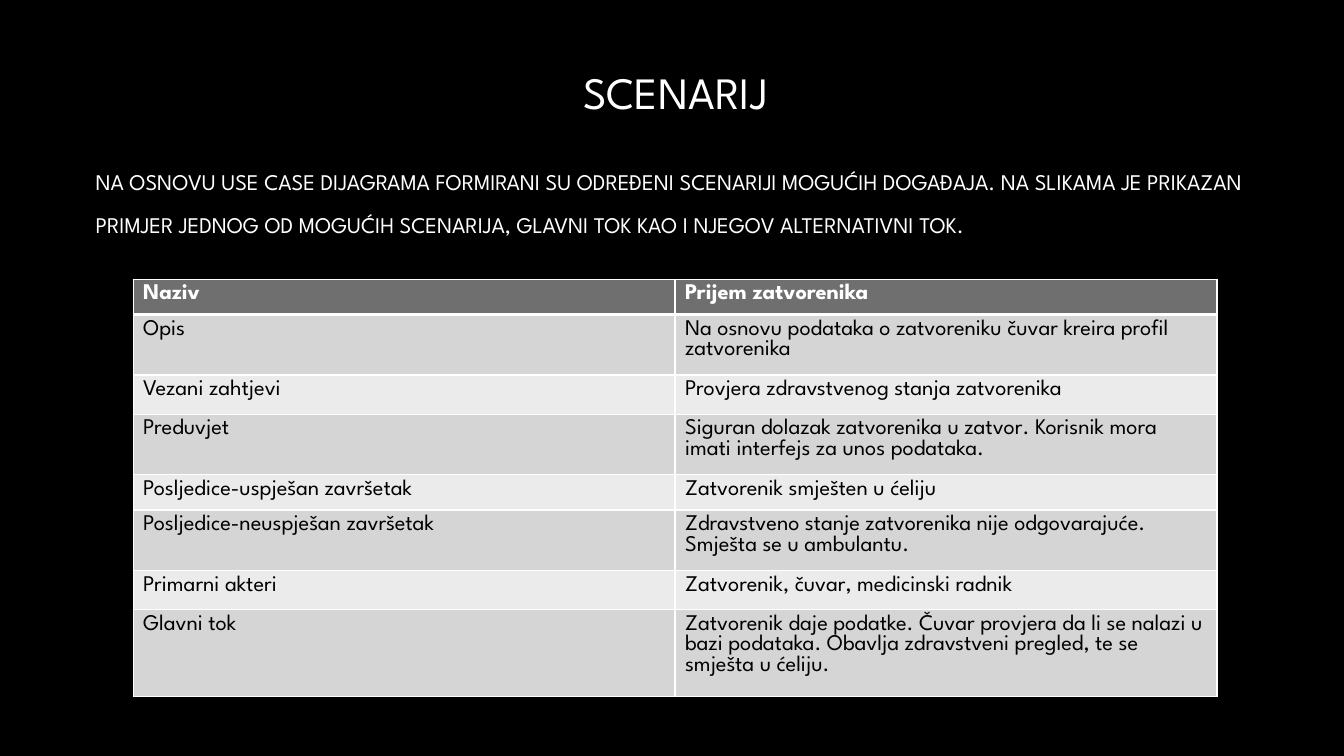
import pptx
import pptx.util
import pptx.dml.color
import pptx.enum.text
import pptx.oxml
import pptx.oxml.ns
from pptx.util import Inches

FONT = "League Spartan"
COLORS = {
    "background": "000000",
    "light_text": "FFFFFF",
    "dark_text": "000000",
    "border": "FFFFFF",
    "header": "6F6F6F",
    "odd_row": "D5D5D5",
    "even_row": "EBEBEB",
}
ANCHOR = pptx.enum.text.MSO_ANCHOR
ALIGN = pptx.enum.text.PP_ALIGN

INTRO = (
    "na osnovu use case dijagrama formirani su određeni scenariji mogućih "
    "događaja. na slikama je prikazan primjer jednog od mogućih scenarija, "
    "glavni tok kao i njegov alternativni tok."
)
SCENARIO = [
    ("Naziv", "Prijem zatvorenika", 0.35),
    ("Opis", "Na osnovu podataka o zatvoreniku čuvar kreira profil zatvorenika", 0.6),
    ("Vezani zahtjevi", "Provjera zdravstvenog stanja zatvorenika", 0.39),
    ("Preduvjet", "Siguran dolazak zatvorenika u zatvor. Korisnik mora imati "
     "interfejs za unos podataka.", 0.6),
    ("Posljedice-uspješan završetak", "Zatvorenik smješten u ćeliju", 0.35),
    ("Posljedice-neuspješan završetak", "Zdravstveno stanje zatvorenika nije "
     "odgovarajuće. Smješta se u ambulantu.", 0.6),
    ("Primarni akteri", "Zatvorenik, čuvar, medicinski radnik", 0.39),
    ("Glavni tok", "Zatvorenik daje podatke. Čuvar provjera da li se nalazi u "
     "bazi podataka. Obavlja zdravstveni pregled, te se smješta u ćeliju.", 0.86),
]


def rgb(name):
    """Return the named colour."""
    return pptx.dml.color.RGBColor.from_string(COLORS[name])


def apply(target, formats):
    """Set every attribute in formats on target."""
    for attribute, value in formats.items():
        setattr(target, attribute, value)


def write(frame, text, size, color, bold=False):
    """Fill a text frame with one run and return its paragraph."""
    paragraph = frame.paragraphs[0]
    run = paragraph.add_run()
    run.text = text
    apply(run.font, {"name": FONT, "size": pptx.util.Pt(size), "bold": bold})
    run.font.color.rgb = rgb(color)
    return paragraph


def add_title(slide, left, top, width, height):
    """Place the slide title in the given box."""
    title = slide.shapes.title
    apply(title, {"left": Inches(left), "top": Inches(top),
                  "width": Inches(width), "height": Inches(height)})
    apply(title.text_frame, {"vertical_anchor": ANCHOR.BOTTOM, "word_wrap": True})
    heading = write(title.text_frame, "SCENARIJ", 32, "light_text")
    heading.alignment = ALIGN.CENTER


def add_intro(slide, left, top, width, height):
    """Place the introduction, set in small capitals, in the given box."""
    intro = slide.shapes.add_textbox(*map(Inches, (left, top, width, height)))
    apply(intro.text_frame, {"vertical_anchor": ANCHOR.MIDDLE, "word_wrap": True})
    sentence = write(intro.text_frame, INTRO, 20, "light_text")
    apply(sentence, {"alignment": ALIGN.LEFT, "line_spacing": 1.28})
    sentence.runs[0].font._element.set("cap", "small")


def add_borders(cell, bottom_width):
    """Draw the cell's borders, ahead of its fill in the XML."""
    widths = {"lnL": 1, "lnR": 1, "lnT": 1, "lnB": bottom_width}
    properties = cell._tc.get_or_add_tcPr()
    for position, (side, width) in enumerate(widths.items()):
        border = pptx.oxml.parse_xml(
            f'<a:{side} {pptx.oxml.ns.nsdecls("a")} w="{pptx.util.Pt(width)}">'
            f'<a:solidFill><a:srgbClr val="{COLORS["border"]}"/></a:solidFill>'
            f'</a:{side}>')
        properties.insert(position, border)


def add_scenario(slide, left, top, width):
    """Place the two-column scenario table at the given corner and width."""
    height = sum(row_height for _, _, row_height in SCENARIO)
    scenario = slide.shapes.add_table(
        len(SCENARIO), 2, *map(Inches, (left, top, width, height))).table
    for column in scenario.columns:
        column.width = Inches(width / 2)
    for index, (label, description, row_height) in enumerate(SCENARIO):
        is_header = index == 0
        fill = "header" if is_header else "odd_row" if index % 2 else "even_row"
        color = "light_text" if is_header else "dark_text"
        scenario.rows[index].height = Inches(row_height)
        for cell, text in zip(scenario.rows[index].cells, (label, description)):
            write(cell.text_frame, text, 16, color, bold=is_header)
            cell.fill.solid()
            cell.fill.fore_color.rgb = rgb(fill)
            add_borders(cell, 3 if is_header else 1)


def build_scenario_slide(deck):
    """Add the scenario slide on a black background."""
    slide = deck.slides.add_slide(deck.slide_layouts[5])
    slide.background.fill.solid()
    slide.background.fill.fore_color.rgb = rgb("background")
    add_scenario(slide, 1.32, 2.77, 10.75)
    add_intro(slide, 0.85, 1.5, 11.69, 0.9)
    add_title(slide, 4.76, -0.27, 3.88, 1.5)


deck = pptx.Presentation()
apply(deck, {"slide_width": Inches(13.33), "slide_height": Inches(7.5)})
build_scenario_slide(deck)
deck.save("out.pptx")
